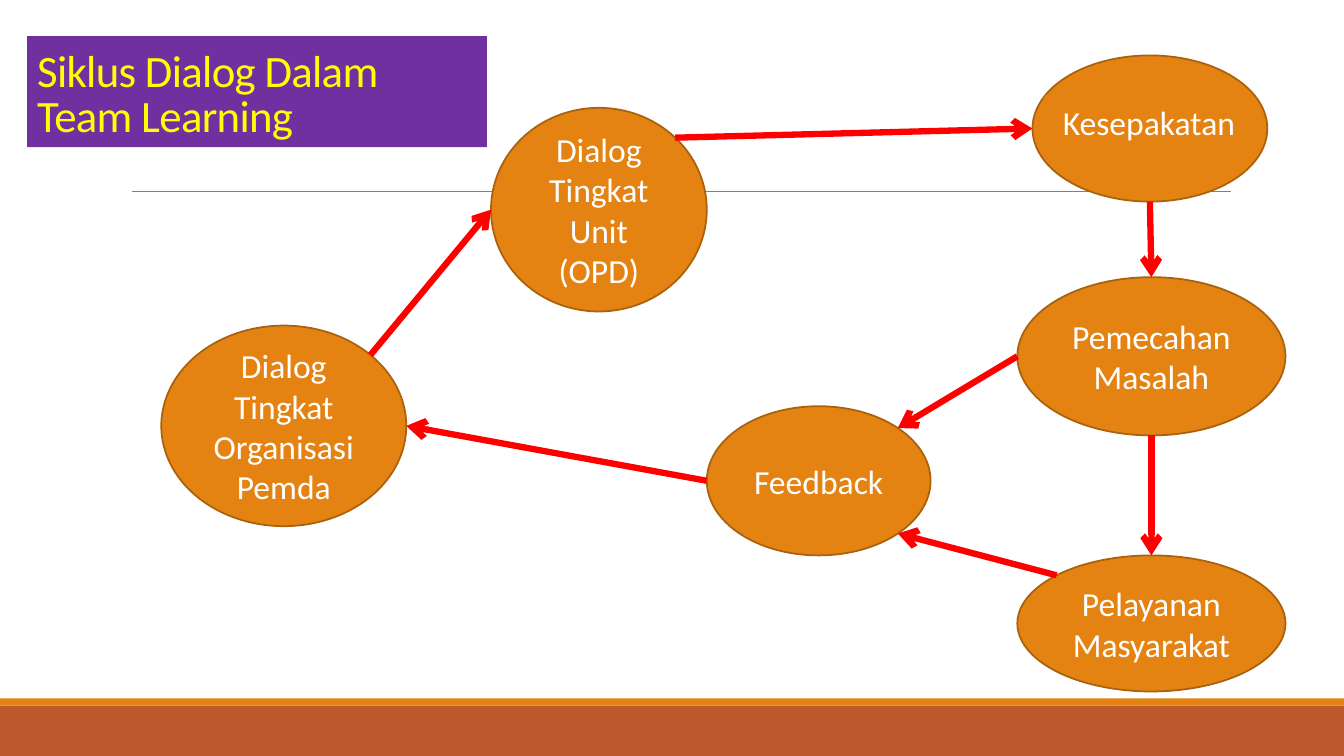
from math import sqrt

from lxml.etree import SubElement
from pptx import Presentation
from pptx.dml.color import RGBColor
from pptx.enum.shapes import MSO_CONNECTOR, MSO_SHAPE
from pptx.enum.text import MSO_ANCHOR, PP_ALIGN
from pptx.oxml.ns import qn
from pptx.util import Inches, Pt

WHITE = RGBColor(0xFF, 0xFF, 0xFF)
ORANGE = RGBColor(0xE4, 0x83, 0x12)
DARK_ORANGE = RGBColor(0xA9, 0x61, 0x0D)
RUST = RGBColor(0xBD, 0x58, 0x2C)
PURPLE = RGBColor(0x70, 0x30, 0xA0)
YELLOW = RGBColor(0xFF, 0xFF, 0x00)
RED = RGBColor(0xFF, 0x00, 0x00)
GRAY = RGBColor(0x80, 0x80, 0x80)

deck = Presentation()
deck.slide_width = Inches(13.33)
deck.slide_height = Inches(7.5)
page = deck.slides.add_slide(deck.slide_layouts[6])


def add_box(kind, place, fill, text="", size=24, color=WHITE, align=PP_ALIGN.CENTER):
    box = page.shapes.add_shape(kind, *[Inches(value) for value in place])
    box.shadow.inherit = False
    box.fill.solid()
    box.fill.fore_color.rgb = fill
    box.line.fill.background()
    frame = box.text_frame
    frame.word_wrap = True
    frame.vertical_anchor = MSO_ANCHOR.MIDDLE
    frame.text = text
    para = frame.paragraphs[0]
    para.alignment = align
    for span in para.runs:
        span.font.name = "Calibri"
        span.font.size = Pt(size)
        span.font.color.rgb = color
    return box


def add_line(start, end, color, width):
    line = page.shapes.add_connector(
        MSO_CONNECTOR.STRAIGHT, *[Inches(value) for value in (*start, *end)])
    line.line.color.rgb = color
    line.line.width = Pt(width)
    SubElement(line._element.spPr, qn("a:effectLst"))
    return line


add_box(MSO_SHAPE.RECTANGLE, (0, 7, 13.33, 0.5), RUST)
add_box(MSO_SHAPE.RECTANGLE, (0, 6.93, 13.33, 0.07), ORANGE)
add_line((1.31, 1.9), (12.21, 1.9), GRAY, 0.5)

title = add_box(MSO_SHAPE.RECTANGLE, (0.27, 0.36, 4.56, 1.1), PURPLE,
                "Siklus Dialog Dalam Team Learning", 32, YELLOW, PP_ALIGN.LEFT)
title.text_frame.vertical_anchor = MSO_ANCHOR.BOTTOM
title_para = title.text_frame.paragraphs[0]
title_para.line_spacing = 0.85
title_para.runs[0].font._element.set("spc", "-50")

steps = {
    "organisasi": ((1.6, 3.23, 2.43, 1.99), "Dialog Tingkat Organisasi Pemda"),
    "unit": ((4.87, 1.07, 2.14, 2.02), "Dialog Tingkat Unit (OPD)"),
    "pemecahan": ((10.09, 2.75, 2.66, 1.57), "Pemecahan Masalah"),
    "feedback": ((7.01, 4.03, 2.22, 1.48), "Feedback"),
    "pelayanan": ((10.09, 5.51, 2.66, 1.35), "Pelayanan Masyarakat"),
    "kesepakatan": ((10.24, 0.55, 2.33, 1.45), ""),
}
DIAGONAL = sqrt(0.5)
directions = {
    "top": (0, -1), "bottom": (0, 1), "left": (-1, 0), "right": (1, 0),
    "top left": (-DIAGONAL, -DIAGONAL), "top right": (DIAGONAL, -DIAGONAL),
    "bottom right": (DIAGONAL, DIAGONAL),
}
sites = {}
for name, (place, text) in steps.items():
    ellipse = add_box(MSO_SHAPE.OVAL, place, ORANGE, text)
    ellipse.line.color.rgb = DARK_ORANGE
    ellipse.line.width = Pt(1.25)
    left, top, width, height = place
    for side, (across, down) in directions.items():
        sites[name, side] = (left + width / 2 * (1 + across),
                             top + height / 2 * (1 + down))

add_box(MSO_SHAPE.ROUNDED_RECTANGLE, (10.34, 0.92, 2.11, 0.58), ORANGE, "Kesepakatan")

arrows = [
    (("organisasi", "top right"), ("unit", "left")),
    (("unit", "top right"), ("kesepakatan", "left")),
    (("pemecahan", "left"), ("feedback", "top right")),
    (("pelayanan", "top left"), ("feedback", "bottom right")),
    (("feedback", "left"), ("organisasi", "right")),
    (("pemecahan", "bottom"), ("pelayanan", "top")),
    (("kesepakatan", "bottom"), ("pemecahan", "top")),
]
for start, end in arrows:
    arrow = add_line(sites[start], sites[end], RED, 4.5)
    SubElement(arrow.line._get_or_add_ln(), qn("a:tailEnd"), type="arrow")

deck.save("out.pptx")
